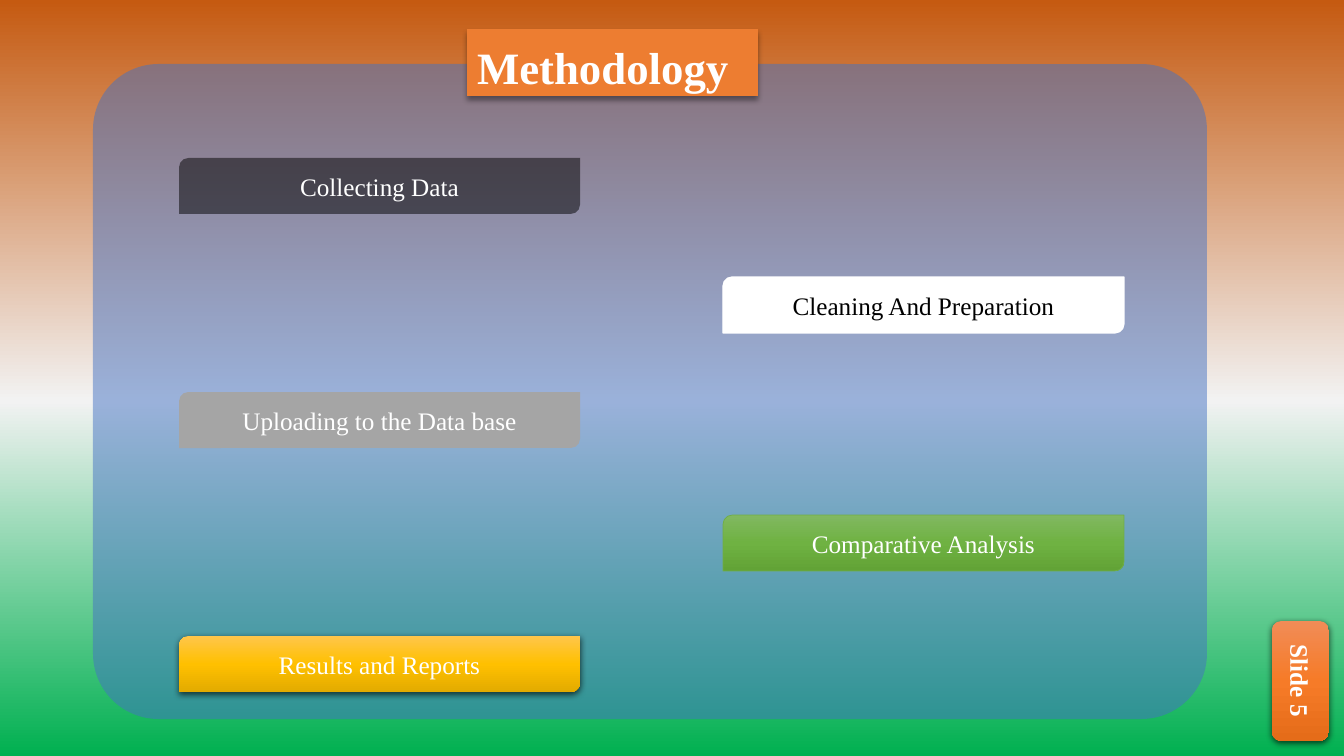
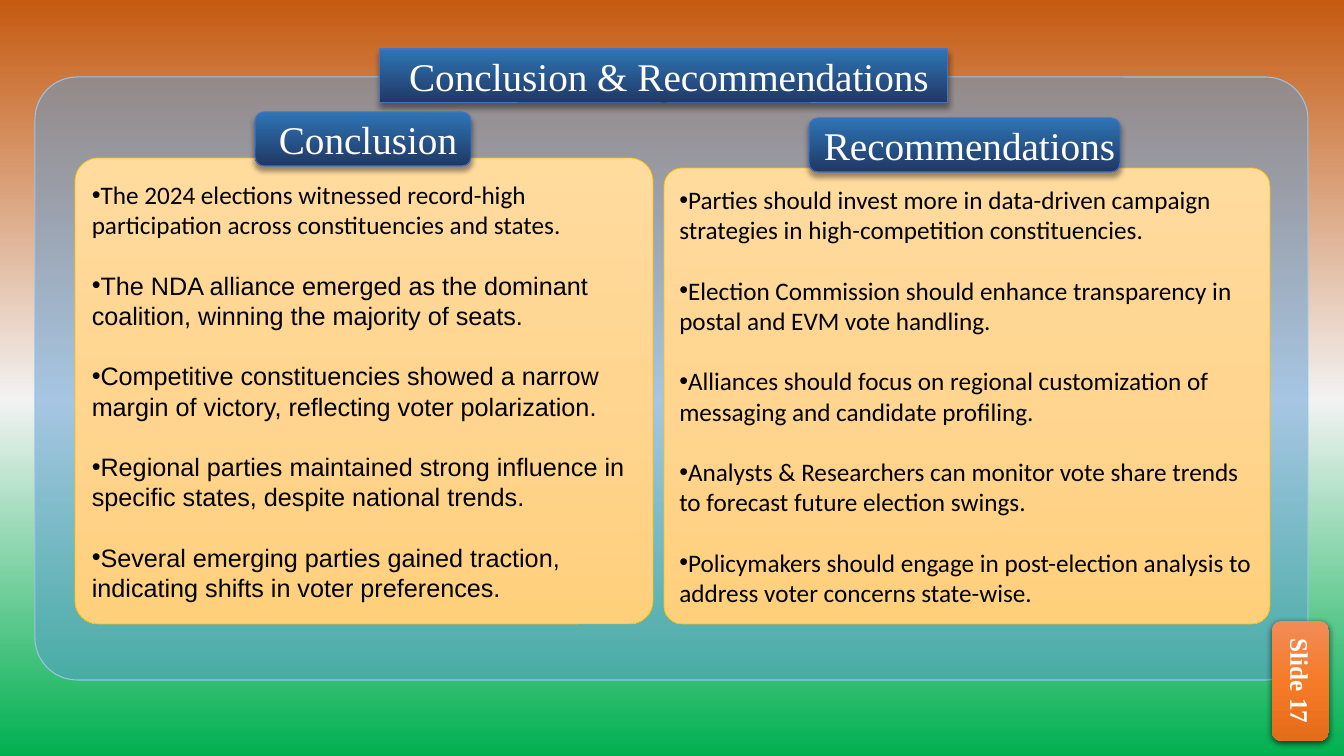
from dataclasses import dataclass
from typing import Optional

from lxml.etree import SubElement as Sub
from pptx import Presentation
from pptx.dml.color import RGBColor as Rgb
from pptx.enum.shapes import MSO_SHAPE as Kind
from pptx.enum.text import MSO_ANCHOR as Anchor, MSO_AUTO_SIZE as Auto, PP_ALIGN as Align
from pptx.oxml.ns import qn
from pptx.util import Emu, Pt

SCALE = 914400 / 100.8
SERIF = "Times New Roman"
C = {
    "rust": "C55A11", "mist": "F2F2F2", "leaf": "00B050",
    "blue": "4472C4", "sky": "5B9BD5", "pale": "9DC3E6",
    "orange": "ED7D31", "black": "000000", "white": "FFFFFF", "gray": "A5A5A5",
    "lime": "81B861", "grass": "6FB242", "moss": "62A336", "fern": "70AD47",
    "honey": "FFC64B", "gold": "FFC000", "amber": "E3AB00",
    "coral": "F18C57", "tang": "F67B28", "ember": "E56C19",
    "cream": "FFDB9E", "peach": "FFD590", "sand": "FFD07C",
    "azure": "2E75B6", "navy": "203864",
}


@dataclass(frozen=True)
class Shade:
    """A shadow below a shape."""
    alpha: int
    blur: float
    dist: float


@dataclass(frozen=True)
class Look:
    """Fill, outline and shadow of a shape."""
    fill: tuple[str, ...]
    alpha: int = 100
    line: str = ""
    width: float = 0
    shade: Optional[Shade] = None


@dataclass(frozen=True)
class Area:
    """A place on the slide in px."""
    x: int
    y: int
    w: int
    h: int


@dataclass(frozen=True)
class Step:
    """One stage of the method."""
    text: str
    top: int
    look: Look
    ink: str = "white"


@dataclass(frozen=True)
class Card:
    """A headed list."""
    area: Area
    round: float
    head: str
    spot: Area
    fonts: tuple[str, ...]
    items: tuple[str, ...]


SOFT = Shade(40, 4, 3)
DEEP = Shade(63, 4.5, 1.5)
TITLE = Look(("orange",), shade=SOFT)
BADGE = Look(("azure", "navy"), line="blue", width=0.75, shade=SOFT)
TAG = Look(("coral", "tang", "ember"), shade=DEEP)
LIST = Look(("cream", "peach", "sand"), line="gold", width=0.5)

STEPS = (
    Step("Collecting Data", 158, Look(("black",), alpha=50)),
    Step("Cleaning And Preparation", 277, Look(("white",), line="white", width=1), "black"),
    Step("Uploading to the Data base", 392, Look(("gray",))),
    Step("Comparative Analysis", 515, Look(("lime", "grass", "moss"), line="fern", width=0.5)),
    Step("Results and Reports", 636, Look(("honey", "gold", "amber"), shade=DEEP)),
)

CARDS = (
    Card(Area(664, 168, 606, 456), 0.04, "Recommendations", Area(809, 118, 311, 54),
         ("Calibri",) * 5, (
             "Parties should invest more in data-driven campaign strategies in high-competition constituencies.",
             "Election Commission should enhance transparency in postal and EVM vote handling.",
             "Alliances should focus on regional customization of messaging and candidate profiling.",
             "Analysts & Researchers can monitor vote share trends to forecast future election swings.",
             "Policymakers should engage in post-election analysis to address voter concerns state-wise.",
         )),
    Card(Area(75, 158, 578, 466), 0.05, "Conclusion", Area(255, 112, 216, 54),
         ("Calibri",) + ("Arial",) * 4, (
             "The 2024 elections witnessed record-high participation across constituencies and states.",
             "The NDA alliance emerged as the dominant coalition, winning the majority of seats.",
             "Competitive constituencies showed a narrow margin of victory, reflecting voter polarization.",
             "Regional parties maintained strong influence in specific states, despite national trends.",
             "Several emerging parties gained traction, indicating shifts in voter preferences.",
         )),
)


def px(num: int) -> Emu:
    """Turn px into EMU."""
    return Emu(round(num * SCALE))


def tint(name: str) -> Rgb:
    """Look up a colour."""
    return Rgb.from_string(C[name])


def blend(fill, root, names: tuple[str, ...], mid: int = 50) -> None:
    """Fill from top to bottom with the named colours."""
    fill.gradient()
    fill.gradient_angle = 270
    stops = next(root.iter(qn("a:gsLst")))
    for old in list(stops):
        stops.remove(old)
    marks = (0, mid, 100) if len(names) == 3 else (0, 100)
    for mark, name in zip(marks, names):
        stop = Sub(stops, qn("a:gs"), pos=str(mark * 1000))
        Sub(stop, qn("a:srgbClr"), val=C[name])


def paint(shape, look: Look) -> None:
    """Give a shape its look."""
    props = shape.element.spPr
    if len(look.fill) > 1:
        blend(shape.fill, props, look.fill)
    else:
        shape.fill.solid()
        shape.fill.fore_color.rgb = tint(look.fill[0])
        if look.alpha < 100:
            Sub(next(props.iter(qn("a:srgbClr"))), qn("a:alpha"), val=str(look.alpha * 1000))
    if look.line:
        shape.line.color.rgb = tint(look.line)
        shape.line.width = Pt(look.width)
    else:
        shape.line.fill.background()
    shape.shadow.inherit = False
    if look.shade:
        drop = Sub(props.find(qn("a:effectLst")), qn("a:outerShdw"),
                   blurRad=str(Pt(look.shade.blur)), dist=str(Pt(look.shade.dist)),
                   dir="5400000", algn="ctr", rotWithShape="0")
        ink = Sub(drop, qn("a:srgbClr"), val=C["black"])
        Sub(ink, qn("a:alpha"), val=str(look.shade.alpha * 1000))


def place(shape, area: Area) -> None:
    """Move and size a shape."""
    shape.left, shape.top = px(area.x), px(area.y)
    shape.width, shape.height = px(area.w), px(area.h)


def draw(slide, area: Area, look: Look, kind=Kind.ROUNDED_RECTANGLE, bend: Optional[float] = None):
    """Add a painted shape."""
    shape = slide.shapes.add_shape(kind, px(area.x), px(area.y), px(area.w), px(area.h))
    if bend is not None:
        shape.adjustments[0] = bend
    paint(shape, look)
    return shape


def head(slide, area: Area, look: Look):
    """Turn the title into a rounded badge on top of what is drawn."""
    shape = slide.shapes.title
    place(shape, area)
    geom = Sub(shape.element.spPr, qn("a:prstGeom"), prst="roundRect")
    Sub(geom, qn("a:avLst"))
    shape.element.spPr.insert(1, geom)
    paint(shape, look)
    shape.element.getparent().append(shape.element)
    return shape


def write(shape, *lines: str, size: int = 18, fonts: tuple[str, ...] = (SERIF,), ink: str = "white",
          bold: bool = False, align=Align.CENTER, pad: tuple[int, ...] = (10, 5, 10, 5),
          bullet: str = "", pitch: float = 0, vert: str = "") -> None:
    """Put text into a shape."""
    frame = shape.text_frame
    frame.word_wrap = True
    frame.auto_size = Auto.NONE
    frame.vertical_anchor = Anchor.MIDDLE
    frame.margin_left, frame.margin_top, frame.margin_right, frame.margin_bottom = map(px, pad)
    if vert:
        frame._txBody.bodyPr.set("vert", vert)
    for num, line in enumerate(lines):
        para = frame.add_paragraph() if num else frame.paragraphs[0]
        para.alignment = align
        if pitch:
            para.line_spacing = Pt(pitch)
            para.space_before = Pt(pitch if num else 0)
        if bullet:
            props = para._p.get_or_add_pPr()
            props.set("marL", "0")
            props.set("indent", "0")
            Sub(props, qn("a:buFont"), typeface="Arial")
            Sub(props, qn("a:buChar"), char=bullet)
        run = para.add_run()
        run.text = line
        font = run.font
        font.name, font.size, font.bold = fonts[num % len(fonts)], Pt(size), bold
        font.color.rgb = tint(ink)


def tag(slide, num: int) -> None:
    """Add the upright slide tag."""
    shape = draw(slide, Area(1272, 621, 57, 120), TAG)
    write(shape, f"Slide {num}", bold=True, vert="vert")


def badge(shape, text: str) -> None:
    """Write the heading of a blue badge."""
    write(shape, text, size=28, pad=(10, 0, 0, 0))


def method(slide) -> None:
    """Build the method slide."""
    draw(slide, Area(93, 64, 1114, 655), Look(("blue",), alpha=50), bend=0.1)
    write(head(slide, Area(467, 29, 291, 67), TITLE), "Methodology",
          size=32, bold=True, align=Align.LEFT, pad=(10, 8, 10, 0))
    for num, step in enumerate(STEPS):
        area = Area((179, 723)[num % 2], step.top, 401, 56)
        write(draw(slide, area, step.look, Kind.ROUND_2_DIAG_RECTANGLE), step.text, ink=step.ink)
    tag(slide, 5)


def close(slide) -> None:
    """Build the closing slide."""
    draw(slide, Area(35, 77, 1273, 603), Look(("sky",), alpha=50, line="pale", width=0.75), bend=0.07)
    for card in CARDS:
        write(draw(slide, card.area, LIST, bend=card.round), *card.items, fonts=card.fonts,
              ink="black", align=Align.LEFT, bullet="•", pitch=21.6)
    badge(head(slide, Area(380, 49, 568, 54), BADGE), "Conclusion & Recommendations")
    for card in CARDS:
        badge(draw(slide, card.spot, BADGE), card.head)
    tag(slide, 17)


def main() -> None:
    """Build and save the slides."""
    deck = Presentation()
    deck.slide_width, deck.slide_height = px(1344), px(756)
    base = deck.slide_master
    blend(base.background.fill, base.element, ("rust", "mist", "leaf"), mid=53)
    for build in (method, close):
        build(deck.slides.add_slide(deck.slide_layouts[5]))
    deck.save("out.pptx")


if __name__ == "__main__":
    main()
